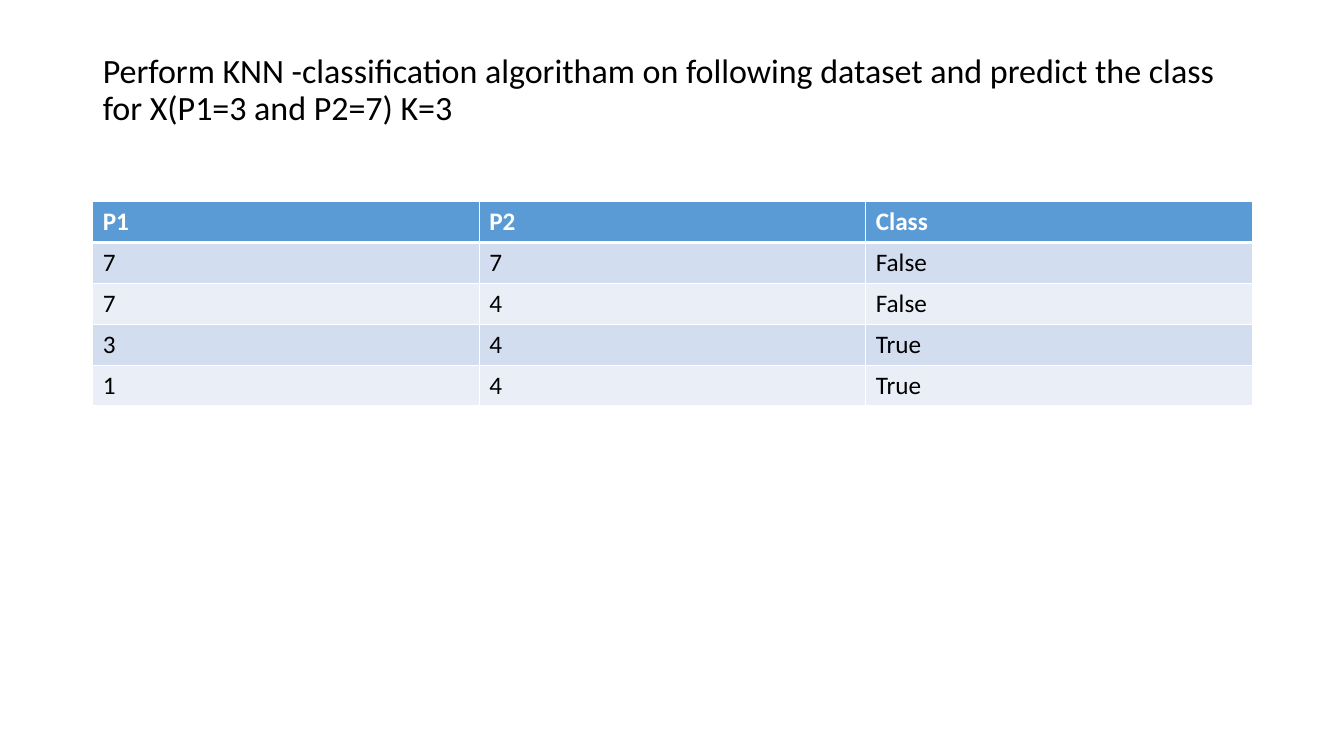
from lxml import etree
from pptx import Presentation
from pptx import util as u
from pptx.dml.color import RGBColor
from pptx.enum import text
from pptx.oxml import ns

BLACK = RGBColor(0x00, 0x00, 0x00)
WHITE = RGBColor(0xFF, 0xFF, 0xFF)
HEADER_BLUE = RGBColor(0x5B, 0x9B, 0xD5)
BANDS = (RGBColor(0xEA, 0xEF, 0xF7), RGBColor(0xD2, 0xDE, 0xEF))

QUESTION = ("Perform KNN -classification algoritham on following dataset "
            "and predict the class for X(P1=3 and P2=7) K=3")
DATASET = [
    ("P1", "P2", "Class"),
    ("7", "7", "False"),
    ("7", "4", "False"),
    ("3", "4", "True"),
    ("1", "4", "True"),
]


class SlideBuilder:
    font_name = "Calibri"
    left, width = u.Inches(0.92), u.Inches(11.5)

    def __init__(self, slide):
        self.slide = slide

    def style(self, paragraph, size, color, bold=False):
        font = paragraph.font
        font.name, font.size, font.bold = self.font_name, u.Pt(size), bold
        font.color.rgb = color

    def title(self, wording, top, height, size):
        title = self.slide.shapes.title
        title.left, title.top = self.left, u.Inches(top)
        title.width, title.height = self.width, u.Inches(height)
        frame = title.text_frame
        frame.text = wording
        frame.word_wrap = True
        frame.auto_size = text.MSO_AUTO_SIZE.NONE
        frame.vertical_anchor = text.MSO_ANCHOR.MIDDLE
        frame.margin_bottom = u.Inches(0.49)
        paragraph = frame.paragraphs[0]
        paragraph.alignment = text.PP_ALIGN.LEFT
        paragraph.line_spacing = 0.9
        self.style(paragraph, size, BLACK)

    def border(self, cell, side, points):
        properties = cell._tc.get_or_add_tcPr()
        line = etree.SubElement(properties, ns.qn(f"a:ln{side}"), w=str(u.Pt(points)))
        fill = etree.SubElement(line, ns.qn("a:solidFill"))
        etree.SubElement(fill, ns.qn("a:srgbClr"), val=str(WHITE))

    def table(self, rows, top, row_height, size):
        columns = len(rows[0])
        table = self.slide.shapes.add_table(
            len(rows), columns, self.left, u.Inches(top),
            self.width, u.Inches(row_height * len(rows))).table
        for r, row in enumerate(rows):
            header = r == 0
            for c, value in enumerate(row):
                cell = table.cell(r, c)
                cell.text = value
                self.style(cell.text_frame.paragraphs[0], size,
                           WHITE if header else BLACK, header)
                for side in "LRTB":
                    thick = (r, side) in ((0, "B"), (1, "T"))
                    self.border(cell, side, 3 if thick else 1)
                cell.fill.solid()
                cell.fill.fore_color.rgb = HEADER_BLUE if header else BANDS[r % 2]


def main():
    deck = Presentation()
    deck.slide_width, deck.slide_height = u.Inches(13.33), u.Inches(7.5)
    builder = SlideBuilder(deck.slides.add_slide(deck.slide_layouts[5]))
    builder.title(QUESTION, top=0.4, height=1.45, size=24.3)
    builder.table(DATASET, top=2, row_height=0.405, size=18)
    deck.save("out.pptx")


if __name__ == "__main__":
    main()
